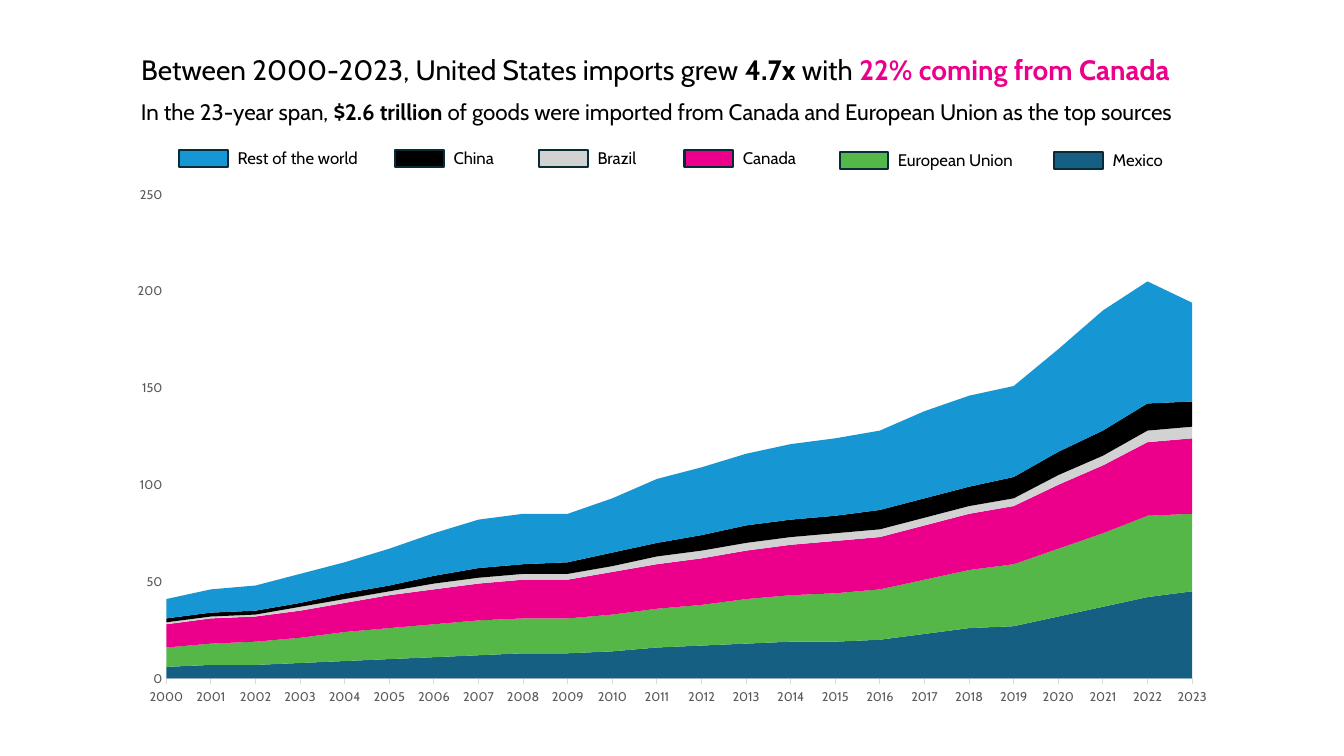
from lxml import etree
from pptx import Presentation
from pptx import util as u
from pptx.chart.data import CategoryChartData
from pptx.dml.color import RGBColor
from pptx.enum import chart as ch, shapes, text
from pptx.oxml.ns import qn

FONT = "Cabin"
COLORS = {
    "Mexico": "156082",
    "European Union": "55B748",
    "Canada": "EC008B",
    "Brazil": "D2D2D2",
    "China": "000000",
    "Rest of the world": "1696D2",
    "text": "000000",
    "axis text": "595959",
    "axis line": "D9D9D9",
    "outline": "092A39",
}
IMPORTS = {
    "Mexico": [6, 7, 7, 8, 9, 10, 11, 12, 13, 13, 14, 16,
               17, 18, 19, 19, 20, 23, 26, 27, 32, 37, 42, 45],
    "European Union": [10, 11, 12, 13, 15, 16, 17, 18, 18, 18, 19, 20,
                       21, 23, 24, 25, 26, 28, 30, 32, 35, 38, 42, 40],
    "Canada": [12, 13, 13, 14, 15, 17, 18, 19, 20, 20, 22, 23,
               24, 25, 26, 27, 27, 28, 29, 30, 33, 35, 38, 39],
    "Brazil": [1, 1, 1, 2, 2, 2, 3, 3, 3, 3, 3, 4,
               4, 4, 4, 4, 4, 4, 4, 4, 5, 5, 6, 6],
    "China": [2, 2, 2, 2, 3, 3, 4, 5, 5, 6, 7, 7,
              8, 9, 9, 9, 10, 10, 10, 11, 12, 13, 14, 13],
    "Rest of the world": [10, 12, 13, 15, 16, 19, 22, 25, 26, 25, 28, 33,
                          35, 37, 39, 40, 41, 45, 47, 47, 53, 62, 63, 51],
}


def rgb(name):
    return RGBColor.from_string(COLORS[name])


def write_line(tf, size, runs):
    """Fill a text frame with one left-aligned line of (text, bold, colour name) runs."""
    tf.vertical_anchor = text.MSO_ANCHOR.TOP
    p = tf.paragraphs[0]
    p.alignment = text.PP_ALIGN.LEFT
    p.font.name = FONT
    p.font.size = u.Pt(size)
    for words, bold, color in runs:
        r = p.add_run()
        r.text = words
        r.font.bold = bold
        r.font.color.rgb = rgb(color)


prs = Presentation()
prs.slide_width, prs.slide_height = u.Cm(33.87), u.Cm(19.05)
s = prs.slides.add_slide(prs.slide_layouts[5])

# Headline and subtitle
title = s.shapes.title
title.left, title.top, title.width, title.height = u.Cm(3.3), u.Cm(1.19), u.Cm(27.28), u.Cm(1.11)
title.text_frame.auto_size = text.MSO_AUTO_SIZE.NONE
write_line(title.text_frame, 20, [
    ("Between 2000-2023, United States imports grew ", False, "text"),
    ("4.7x ", True, "text"),
    ("with ", False, "text"),
    ("22% coming from Canada", True, "Canada"),
])
subtitle = s.shapes.add_textbox(u.Cm(3.3), u.Cm(2.34), u.Cm(27.53), u.Cm(0.94))
subtitle.text_frame.word_wrap = False
write_line(subtitle.text_frame, 16, [
    ("In the 23-year span, ", False, "text"),
    ("$2.6 trillion ", True, "text"),
    ("of goods were imported from Canada and European Union as the top sources", False, "text"),
])

# Stacked area chart
data = CategoryChartData()
data.categories = [str(year) for year in range(2000, 2024)]
for region, values in IMPORTS.items():
    data.add_series(region, values)
chart = s.shapes.add_chart(ch.XL_CHART_TYPE.AREA_STACKED, u.Cm(2.9), u.Cm(4.42),
                           u.Cm(28.07), u.Cm(13.59), data).chart
chart.has_title = False
chart.has_legend = False
chart.font.name = FONT
chart.font.size = u.Pt(10)
chart.font.color.rgb = rgb("text")

plot = chart.plots[0]
plot.vary_by_categories = False
for series in plot.series:
    series.format.fill.solid()
    series.format.fill.fore_color.rgb = rgb(series.name)

years, amounts = chart.category_axis, chart.value_axis
for axis in (years, amounts):
    axis.has_major_gridlines = False
    axis.minor_tick_mark = ch.XL_TICK_MARK.NONE
    axis.tick_labels.font.name = FONT
    axis.tick_labels.font.size = u.Pt(9)
    axis.tick_labels.font.color.rgb = rgb("axis text")
years.major_tick_mark = ch.XL_TICK_MARK.OUTSIDE
years.format.line.color.rgb = rgb("axis line")
years.format.line.width = u.Pt(0.75)
amounts.major_tick_mark = ch.XL_TICK_MARK.NONE
amounts.format.line.fill.background()
amounts.minimum_scale, amounts.maximum_scale, amounts.major_unit = 0, 250, 50

# Fixed plot area, as fractions of the chart frame
plot_area = chart.element.find(".//" + qn("c:plotArea"))
for layout in plot_area.findall(qn("c:layout")):
    plot_area.remove(layout)
layout = etree.Element(qn("c:layout"))
plot_area.insert(0, layout)
manual = etree.SubElement(layout, qn("c:manualLayout"))
for tag, value in [("layoutTarget", "inner"), ("xMode", "edge"), ("yMode", "edge"),
                   ("x", "0.046"), ("y", "0.035"), ("w", "0.921"), ("h", "0.898")]:
    etree.SubElement(manual, qn("c:" + tag)).set("val", value)

# Legend: region, swatch left, swatch top, label width
legend = [
    ("Rest of the world", 4.52, 3.78, 3.63),
    ("China", 9.96, 3.78, 1.85),
    ("Brazil", 13.59, 3.78, 1.85),
    ("Canada", 17.25, 3.78, 2.13),
    ("European Union", 21.16, 3.84, 3.63),
    ("Mexico", 26.57, 3.84, 2.13),
]
SWATCH_W, SWATCH_H = 1.22, 0.43
for region, left, top, label_width in legend:
    sp = s.shapes.add_shape(shapes.MSO_SHAPE.RECTANGLE, u.Cm(left), u.Cm(top),
                            u.Cm(SWATCH_W), u.Cm(SWATCH_H))
    sp.shadow.inherit = False
    sp.fill.solid()
    sp.fill.fore_color.rgb = rgb(region)
    sp.line.color.rgb = rgb("outline")
    sp.line.width = u.Pt(1.5)
    label = s.shapes.add_textbox(u.Cm(left + SWATCH_W), u.Cm(top - 0.18),
                                 u.Cm(label_width), u.Cm(0.77))
    label.text_frame.word_wrap = True
    write_line(label.text_frame, 12, [(region, False, "text")])

prs.save("out.pptx")
